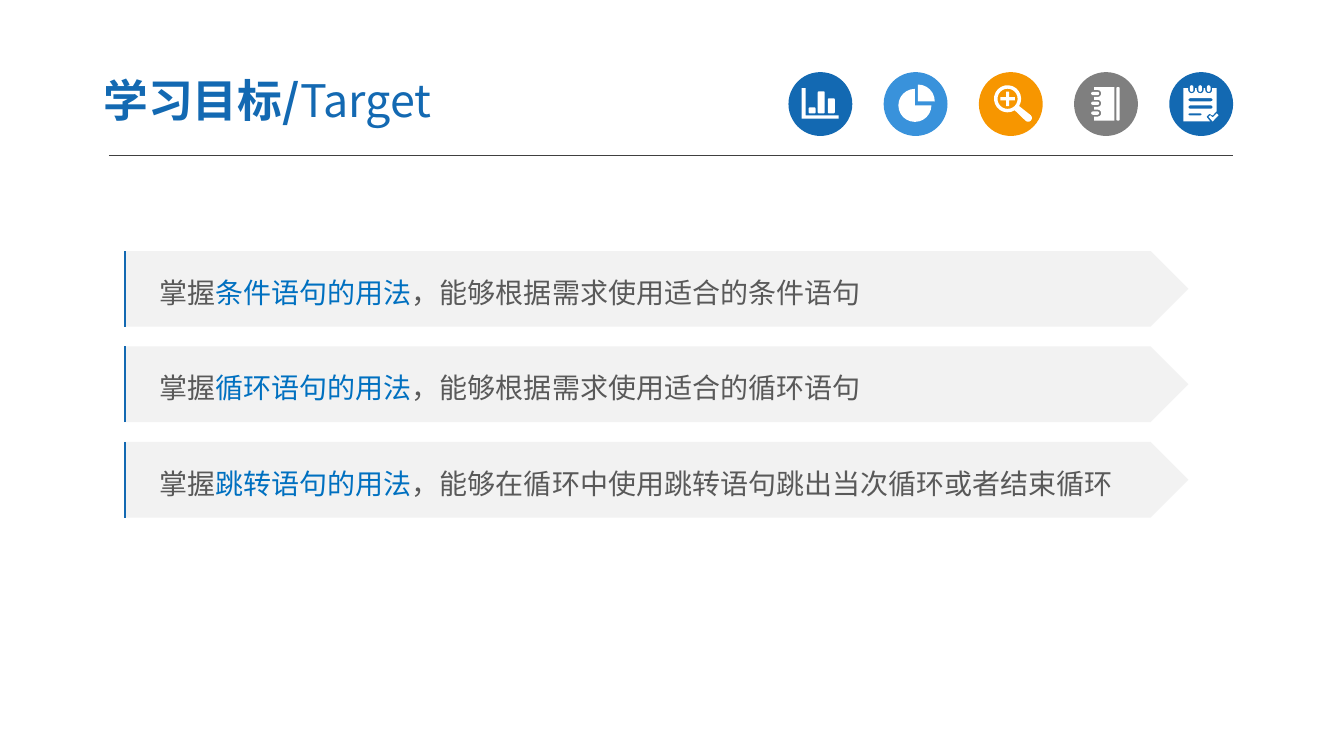
from dataclasses import dataclass
from math import cos, radians, sin

from lxml import etree
from pptx import Presentation
from pptx.dml.color import RGBColor
from pptx.enum import shapes, text
from pptx.oxml import ns
from pptx.util import Pt


@dataclass(frozen=True)
class Theme:
    font: str = "Noto Sans CJK SC"
    title_size: int = 32
    goal_size: int = 20
    blue: str = "1369B2"
    sky: str = "3992DB"
    orange: str = "F79600"
    gray: str = "7F7F7F"
    white: str = "FFFFFF"
    plate: str = "F2F2F2"
    body: str = "595959"
    key: str = "0070C0"
    rule: str = "404040"


class Deck:
    def __init__(self, theme):
        self.theme = theme
        self.prs = Presentation()
        self.prs.slide_width, self.prs.slide_height = Pt(960), Pt(540)
        self.slide = self.prs.slides.add_slide(self.prs.slide_layouts[5])

    def paint(self, sp, color):
        sp.shadow.inherit = False
        sp.fill.solid()
        sp.fill.fore_color.rgb = RGBColor.from_string(color)
        sp.line.fill.background()
        return sp

    def shape(self, parent, kind, x, y, w, h, color):
        sp = parent.shapes.add_shape(kind, Pt(x), Pt(y), Pt(w), Pt(h))
        return self.paint(sp, color)

    def outline(self, parent, x, y, contours, close=True):
        fb = None
        for contour in contours:
            points = [(Pt(x + px), Pt(y + py)) for px, py in contour]
            if fb is None:
                fb = parent.shapes.build_freeform(*points[0])
            else:
                fb.move_to(*points[0])
            fb.add_line_segments(points[1:], close=close)
        return fb.convert_to_shape()

    def stroke(self, sp, color, width):
        sp.line.color.rgb = RGBColor.from_string(color)
        sp.line.width = Pt(width)

    def rule(self, x1, x2, y):
        cx = self.slide.shapes.add_connector(
            shapes.MSO_CONNECTOR.STRAIGHT, Pt(x1), Pt(y), Pt(x2), Pt(y))
        self.stroke(cx, self.theme.rule, 0.75)
        etree.SubElement(cx._element.spPr, ns.qn("a:effectLst"))

    def run(self, p, words, size, color, bold=False):
        r = p.add_run()
        r.text = words
        r.font.name, r.font.size, r.font.bold = self.theme.font, Pt(size), bold
        r.font.color.rgb = RGBColor.from_string(color)
        ea = etree.SubElement(r._r.get_or_add_rPr(), ns.qn("a:ea"))
        ea.set("typeface", self.theme.font)

    def title(self, parts, x, y, w, h):
        sp = self.slide.shapes.title
        sp.left, sp.top, sp.width, sp.height = Pt(x), Pt(y), Pt(w), Pt(h)
        tf = sp.text_frame
        tf.auto_size = text.MSO_AUTO_SIZE.NONE
        tf.vertical_anchor = text.MSO_ANCHOR.MIDDLE
        tf.margin_left = tf.margin_right = Pt(9.6)
        p = tf.paragraphs[0]
        p.alignment = text.PP_ALIGN.LEFT
        for words, bold in parts:
            self.run(p, words, self.theme.title_size, self.theme.blue, bold)

    def goal(self, parts, x, y, w, h):
        t = self.theme
        sp = self.shape(self.slide, shapes.MSO_SHAPE.PENTAGON, x, y, w, h, t.plate)
        tf = sp.text_frame
        tf.word_wrap = True
        tf.vertical_anchor = text.MSO_ANCHOR.MIDDLE
        tf.margin_left = Pt(25.2)
        p = tf.paragraphs[0]
        p.alignment = text.PP_ALIGN.LEFT
        p.line_spacing = 1.2
        for words, color in parts:
            self.run(p, words, t.goal_size, color)
        edge = self.outline(self.slide, x + 0.7, y, [[(0, h), (0, 0)]], close=False)
        edge.shadow.inherit = False
        edge.fill.background()
        self.stroke(edge, t.blue, 1.5)

    def icon(self, x, y, size, color, contours):
        group = self.slide.shapes.add_group_shape()
        self.shape(group, shapes.MSO_SHAPE.OVAL, x, y, size, size, color)
        self.paint(self.outline(group, x, y, contours), self.theme.white)


# Contours: point lists in points, angles in degrees clockwise from the right
def arc(cx, cy, r, start, end, steps):
    angles = [radians(start + (end - start) * i / steps) for i in range(steps + 1)]
    return [(cx + r * cos(a), cy + r * sin(a)) for a in angles]


def box(x, y, w, h, r):
    corners = ((x + w - r, y + r, -90), (x + w - r, y + h - r, 0),
               (x + r, y + h - r, 90), (x + r, y + r, 180))
    return [pt for cx, cy, a in corners for pt in arc(cx, cy, r, a, a + 90, 2)]


def chart_icon():
    axis = [(9.4, 11.5), (12.2, 11.5), (12.2, 31), (35.9, 31), (35.9, 33.3), (9.4, 33.3)]
    bars = ((14.4, 25.2), (20.9, 13.7), (28.1, 18.7))
    return [axis] + [box(x, top, 5, 29.5 - top, 0.8) for x, top in bars]


def pie_icon():
    return [[(24.5, 20.9)] + arc(24.5, 20.9, 12, -90, 0, 6),
            [(22.3, 23.8)] + arc(22.3, 23.8, 11.8, 0, 270, 18)]


def lens_icon():
    cx, cy, a, b = 20.5, 19.1, 1.1, 5.2
    plus = [(-a, -b), (a, -b), (a, -a), (b, -a), (b, a), (a, a),
            (a, b), (-a, b), (-a, a), (-b, a), (-b, -a), (-a, -a)]
    return [arc(cx, cy, 9.7, 58, 392, 20) + arc(35.2, 32.8, 2.7, -45, 135, 6),
            arc(cx, cy, 7.2, 0, 345, 23),
            [(cx + px, cy + py) for px, py in plus]]


def book_icon():
    rings = (29.3, 22.3, 15.3)
    cover = [(14.4, 10.8), (28.8, 10.8), (28.8, 34.6), (14.4, 34.6)]
    for mid in rings:
        cover += [(14.4, mid + 2.5), *arc(16.9, mid, 2.5, 90, -90, 6), (14.4, mid - 2.5)]
    return [cover, box(30.2, 10.8, 2.4, 23.8, 0.7)] + [
        box(12.2, mid - 1.2, 5.8, 2.4, 1.2) for mid in rings]


def notes_icon():
    loops = (16, 22.1, 28.2)
    page = [(10.1, 11.5)]
    for mid in loops:
        page += [(mid - 2.5, 11.5), *arc(mid, 12.7, 2.5, 180, 0, 6), (mid + 2.5, 11.5)]
    page += [(33.9, 11.5), (33.9, 28), (31, 31), (28.6, 29.8), (26.6, 32),
             (29.3, 35.3), (10.1, 35.3)]
    tick = [(28.1, 32), (29.2, 30.8), (31, 32.4), (34, 29.5), (35.2, 30.9), (31, 35.3)]
    lines = ((18.7, 17.3, 2.2), (23.8, 17.3, 2.4), (29.5, 9.4, 1.5))
    return ([page, tick] + [box(mid - 1.3, 9.4, 2.6, 4.8, 1.3) for mid in loops]
            + [box(13.7, y, w, h, h / 2) for y, w, h in lines])


def main():
    t = Theme()
    deck = Deck(t)

    # Header
    deck.title([("学习目标/", True), ("Target", False)], 64.2, 45.4, 376, 52)
    deck.rule(77.8, 880.6, 111.3)
    icons = [(t.blue, chart_icon), (t.sky, pie_icon), (t.orange, lens_icon),
             (t.gray, book_icon), (t.blue, notes_icon)]
    for i, (color, contours) in enumerate(icons):
        deck.icon(563.2 + 68 * i, 51.5, 45.6, color, contours())

    # Learning goals
    goals = [("条件语句的用法", "，能够根据需求使用适合的条件语句"),
             ("循环语句的用法", "，能够根据需求使用适合的循环语句"),
             ("跳转语句的用法", "，能够在循环中使用跳转语句跳出当次循环或者结束循环")]
    for i, (topic, skill) in enumerate(goals):
        parts = [("掌握", t.body), (topic, t.key), (skill, t.body)]
        deck.goal(parts, 88.6, 179.3 + 68.2 * i, 760.3, 54)

    deck.prs.save("out.pptx")


if __name__ == "__main__":
    main()
